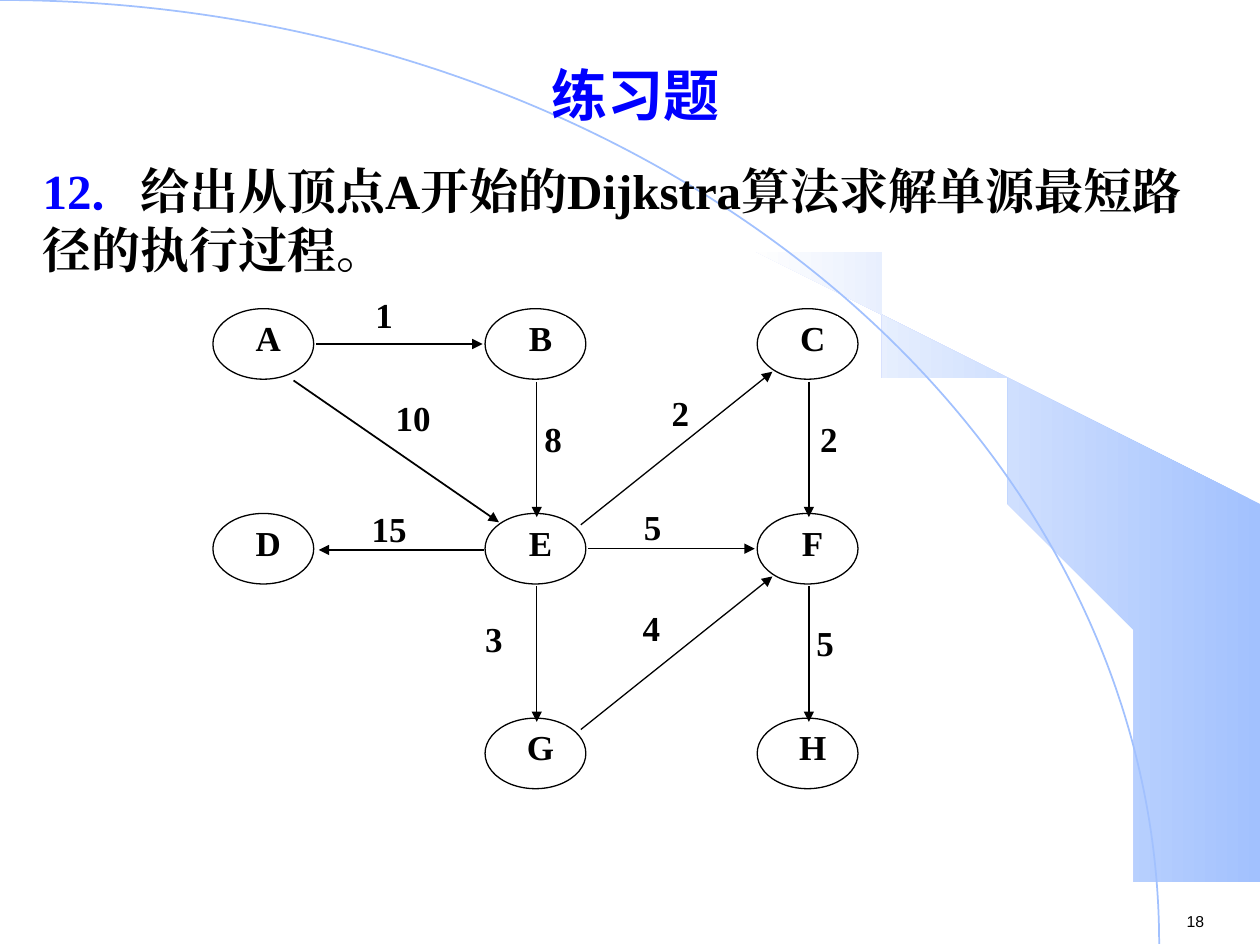
from typing import NamedTuple

from lxml import etree
from pptx import Presentation
from pptx import util as u
from pptx.dml.color import RGBColor
from pptx.enum import shapes, text
from pptx.oxml.ns import qn

BLUE = RGBColor(0x00, 0x00, 0xFF)
BLACK = RGBColor(0x00, 0x00, 0x00)
WHITE = RGBColor(0xFF, 0xFF, 0xFF)
PALE = RGBColor(0xFE, 0xFE, 0xFE)
SKY = RGBColor(0xA2, 0xC1, 0xFE)
SERIF, SANS, CJK = "Times New Roman", "Arial", "Noto Sans CJK SC"

WIDTH, HEIGHT = 10, 7.5
LEFT, TOP = 1.69, 2.45           # first node of the graph grid
COL, ROW = 2.16, 1.625           # grid steps
NODE_W, NODE_H = 0.8, 0.56
ARC_RX, ARC_RY = 9.2, 7.49

SWOOSH = [(9.2, 7.48), (9.99, 7.49), (9.99, 4.23), (5.89, 1.73), (6.24, 1.99),
          (6.53, 2.22), (6.85, 2.5), (7.16, 2.8), (7.62, 3.3), (8.03, 3.84),
          (8.32, 4.31), (8.58, 4.79), (8.78, 5.28), (8.93, 5.72), (9.03, 6.09),
          (9.13, 6.56), (9.17, 6.96)]


class Cell(NamedTuple):
    col: int
    row: int

    def point(self, dx: float = 0, dy: float = 0) -> tuple[float, float]:
        return LEFT + self.col * COL + dx, TOP + self.row * ROW + dy


class Edge(NamedTuple):
    src: str
    dst: str
    weight: str
    label_x: float
    label_y: float
    width: float = 0.75


NODES = {"A": Cell(0, 0), "B": Cell(1, 0), "C": Cell(2, 0),
         "D": Cell(0, 1), "E": Cell(1, 1), "F": Cell(2, 1),
         "G": Cell(1, 2), "H": Cell(2, 2)}

EDGES = [
    Edge("A", "B", "1", 2.98, 2.33),
    Edge("B", "E", "8", 4.32, 3.31),
    Edge("A", "E", "10", 3.14, 3.15, 1),
    Edge("E", "C", "2", 5.33, 3.11),
    Edge("E", "D", "15", 2.95, 4.03),
    Edge("E", "F", "5", 5.11, 4.01),
    Edge("E", "G", "3", 3.85, 4.9),
    Edge("G", "F", "4", 5.1, 4.81),
    Edge("C", "F", "2", 6.51, 3.31),
    Edge("F", "H", "5", 6.48, 4.93),
]

# Grid direction of an edge -> offsets of its ends inside the two node cells
PORTS = {(1, 0): ((0.82, 0.28), (-0.02, 0.28)),
         (-1, 0): ((-0.01, 0.29), (0.84, 0.29)),
         (0, 1): ((0.41, 0.58), (0.41, 0.03)),
         (1, 1): ((0.64, 0.57), (0.11, 0.07)),
         (1, -1): ((0.76, 0.09), (0.12, 0.5))}


def inches(*values: float) -> list[int]:
    return [u.Inches(v) for v in values]


def add_run(p, words: str, size: float, color: RGBColor, name: str, bold: bool = True) -> None:
    r = p.add_run()
    r.text = words
    fmt = {"size": u.Pt(size), "bold": bold, "name": name}
    for key, value in fmt.items():
        setattr(r.font, key, value)
    r.font.color.rgb = color
    r.font._element.find(qn("a:latin")).addnext(
        etree.Element(qn("a:ea"), typeface=name))


def set_frame(tf, margin_x: float = 0, margin_y: float = 0) -> None:
    fmt = {"margin_left": u.Inches(margin_x), "margin_right": u.Inches(margin_x),
           "margin_top": u.Inches(margin_y), "margin_bottom": u.Inches(margin_y),
           "word_wrap": True, "vertical_anchor": text.MSO_ANCHOR.TOP}
    for key, value in fmt.items():
        setattr(tf, key, value)


def add_background(s) -> None:
    builder = s.shapes.build_freeform(*SWOOSH[0], scale=u.Inches(1))
    builder.add_line_segments(SWOOSH[1:], close=True)
    swoosh = builder.convert_to_shape()
    swoosh.shadow.inherit = False
    swoosh.line.fill.background()
    swoosh.fill.gradient()
    swoosh.fill.gradient_angle = 180
    for stop, color in zip(swoosh.fill.gradient_stops, (SKY, PALE)):
        stop.color.rgb = color

    arc = s.shapes.add_shape(shapes.MSO_SHAPE.ARC,
                             *inches(-ARC_RX, 0, 2 * ARC_RX, 2 * ARC_RY))
    arc.shadow.inherit = False
    arc.fill.background()
    arc.line.color.rgb = SKY
    arc.line.width = u.Pt(1)


def add_page_number(s) -> None:
    tf = s.shapes.add_textbox(*inches(9.32, 7.19, 0.77, 0.25)).text_frame
    set_frame(tf, 0.1, 0.05)
    add_run(tf.paragraphs[0], "18", 9, BLACK, SANS, bold=False)


def add_question(s) -> None:
    tf = s.shapes.add_textbox(*inches(0.24, 0.48, 9.61, 6.38)).text_frame
    set_frame(tf, 0.1)
    title = tf.paragraphs[0]
    title.alignment = text.PP_ALIGN.CENTER
    title.space_after = u.Pt(12)
    add_run(title, "练习题", 32, BLUE, CJK)
    body = tf.add_paragraph()
    body.space_before = u.Pt(7)
    add_run(body, "12．", 28, BLUE, SERIF)
    add_run(body, "给出从顶点A开始的Dijkstra算法求解单源最短路径的执行过程。", 28, BLACK, SERIF)


def add_label(s, words: str, x: float, y: float, w: float, h: float, align) -> None:
    sp = s.shapes.add_shape(shapes.MSO_SHAPE.RECTANGLE, *inches(x, y, w, h))
    sp.shadow.inherit = False
    sp.fill.solid()
    sp.fill.fore_color.rgb = WHITE
    sp.line.fill.background()
    set_frame(sp.text_frame)
    p = sp.text_frame.paragraphs[0]
    p.alignment = align
    add_run(p, words, 20, BLACK, SERIF)


def add_node(s, name: str, cell: Cell) -> None:
    sp = s.shapes.add_shape(shapes.MSO_SHAPE.OVAL,
                            *inches(*cell.point(), NODE_W, NODE_H))
    sp.shadow.inherit = False
    sp.fill.solid()
    sp.fill.fore_color.rgb = WHITE
    sp.line.color.rgb = BLACK
    sp.line.width = u.Pt(0.75)
    add_label(s, name, *cell.point(0.24, 0.06), 0.4, 0.42, text.PP_ALIGN.CENTER)


def add_edge(s, edge: Edge) -> None:
    src, dst = NODES[edge.src], NODES[edge.dst]
    start, end = PORTS[dst.col - src.col, dst.row - src.row]
    line = s.shapes.add_connector(shapes.MSO_CONNECTOR.STRAIGHT,
                                  *inches(*src.point(*start), *dst.point(*end)))
    line.line.color.rgb = BLACK
    line.line.width = u.Pt(edge.width)
    etree.SubElement(line.line._get_or_add_ln(), qn("a:tailEnd"), type="triangle")
    etree.SubElement(line._element.spPr, qn("a:effectLst"))


def main() -> None:
    prs = Presentation()
    prs.slide_width, prs.slide_height = inches(WIDTH, HEIGHT)
    s = prs.slides.add_slide(prs.slide_layouts[6])
    add_background(s)
    add_page_number(s)
    add_question(s)
    for name, cell in NODES.items():
        add_node(s, name, cell)
    for edge in EDGES:
        add_label(s, edge.weight, edge.label_x, edge.label_y,
                  0.16 + 0.16 * len(edge.weight), 0.36, text.PP_ALIGN.JUSTIFY)
    for edge in EDGES:
        add_edge(s, edge)
    prs.save("out.pptx")


if __name__ == "__main__":
    main()
